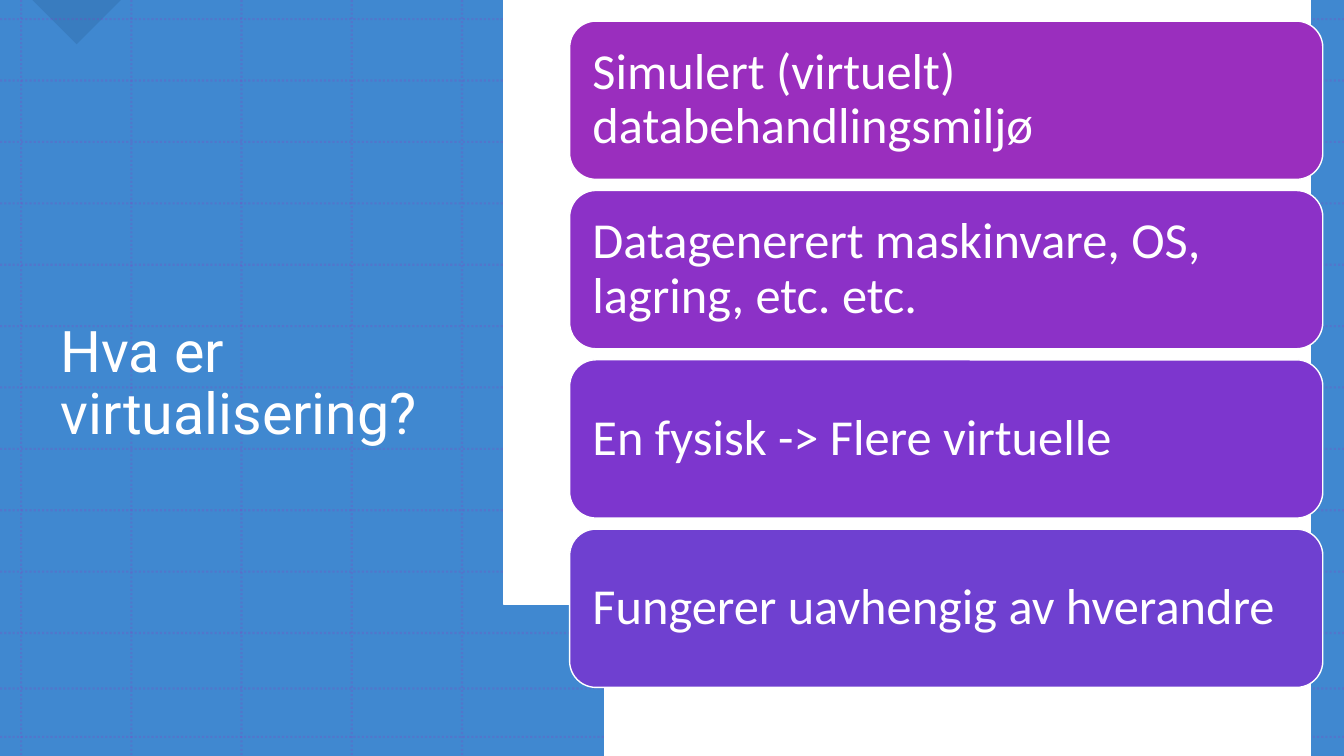
from lxml import etree
from pptx import Presentation
from pptx import util as u
from pptx.dml.color import RGBColor
from pptx.enum import dml, shapes, text
from pptx.oxml.ns import qn

BLUE = RGBColor(0x40, 0x88, 0xD0)
NAVY = RGBColor(0x1B, 0x44, 0x6D)
PURPLE = RGBColor(0x9A, 0x2E, 0xBE)
WHITE = RGBColor(0xFF, 0xFF, 0xFF)

CARDS = [
    ("Simulert (virtuelt) databehandlingsmiljø", PURPLE),
    ("Datagenerert maskinvare, OS, lagring, etc. etc.", RGBColor(0x8C, 0x31, 0xC7)),
    ("En fysisk -> Flere virtuelle", RGBColor(0x7D, 0x36, 0xCE)),
    ("Fungerer uavhengig av hverandre", RGBColor(0x6F, 0x40, 0xD0)),
]


def write(frame, wording, size, font, inset):
    frame.word_wrap = True
    frame.auto_size = text.MSO_AUTO_SIZE.NONE
    frame.vertical_anchor = text.MSO_ANCHOR.MIDDLE
    frame.margin_left = frame.margin_right = u.Inches(inset)
    frame.margin_top = frame.margin_bottom = u.Inches(inset)
    paragraph = frame.paragraphs[0]
    paragraph.text = wording
    paragraph.alignment = text.PP_ALIGN.LEFT
    paragraph.line_spacing = 0.9
    paragraph.font.size = u.Pt(size)
    paragraph.font.name = font
    paragraph.font.color.rgb = WHITE


def set_opacity(drawn, percent):
    for colour in drawn._element.spPr.iter(qn("a:srgbClr")):
        etree.SubElement(colour, qn("a:alpha"), val=str(percent * 1000))


deck = Presentation()
deck.slide_width, deck.slide_height = u.Inches(13.33), u.Inches(7.5)
width, height = deck.slide_width, deck.slide_height
slide = deck.slides.add_slide(deck.slide_layouts[5])
parts = slide.shapes

# Blue ground with a corner notch
ground = parts.add_shape(shapes.MSO_SHAPE.RECTANGLE, 0, 0, width, height)
ground.shadow.inherit = False
ground.fill.solid()
ground.fill.fore_color.rgb = BLUE
ground.line.fill.background()

notch = parts.add_shape(shapes.MSO_SHAPE.RIGHT_TRIANGLE, u.Inches(0.45), u.Inches(-0.31),
                        u.Inches(0.62), u.Inches(0.62))
notch.rotation = 315
notch.shadow.inherit = False
notch.fill.solid()
notch.fill.fore_color.rgb = NAVY
notch.line.fill.background()
set_opacity(notch, 17)

# Dotted grid
columns = [u.Inches(0.21 + 1.093 * i) for i in range(5)]
rows = [u.Inches(0.19 + 0.609 * i) for i in range(11)] + [u.Inches(6.83), u.Inches(7.31)]
grid = [(x, 0, x, height) for x in columns] + [(0, y, width, y) for y in rows]
for ends in grid:
    rule = parts.add_connector(shapes.MSO_CONNECTOR.STRAIGHT, *ends)
    rule.line.color.rgb = PURPLE
    rule.line.width = u.Pt(1.5)
    rule.line.dash_style = dml.MSO_LINE.ROUND_DOT
    set_opacity(rule, 20)
    etree.SubElement(rule._element.spPr, qn("a:effectLst"))

# Title, brought in front of the ground
title = parts.title
title.left, title.top = u.Inches(0.5), u.Inches(0.79)
title.width, title.height = u.Inches(4.08), u.Inches(6.05)
write(title.text_frame, "Hva er virtualisering?", size=41, font="Roboto", inset=0.1)
parts._spTree.append(title._element)

# White panel whose left edge is a Bezier wave
WAVE = [(5.54, 7.5), (5.54, 3.76), (4.37, 3.74), (5.04, 0)]
STEPS = 60
edge = []
for step in range(STEPS + 1):
    t = step / STEPS
    weights = [(1 - t) ** 3, 3 * t * (1 - t) ** 2, 3 * t ** 2 * (1 - t), t ** 3]
    edge.append(tuple(sum(w * point[axis] for w, point in zip(weights, WAVE))
                      for axis in (0, 1)))
outline = parts.build_freeform(13.33, 0, scale=u.Inches(1))
outline.add_line_segments([(13.33, 7.5)] + edge, close=True)
panel = outline.convert_to_shape()
panel.shadow.inherit = False
panel.fill.solid()
panel.fill.fore_color.rgb = WHITE
panel.line.color.rgb = WHITE
panel.line.width = u.Pt(1)

# Cards
for index, (wording, colour) in enumerate(CARDS):
    card = parts.add_shape(shapes.MSO_SHAPE.ROUNDED_RECTANGLE, u.Inches(5.65),
                           u.Inches(0.21 + 1.68 * index), u.Inches(7.47), u.Inches(1.57))
    card.shadow.inherit = False
    card.fill.solid()
    card.fill.fore_color.rgb = colour
    card.line.color.rgb = WHITE
    card.line.width = u.Pt(1)
    write(card.text_frame, wording, size=36, font="Calibri", inset=0.15)

deck.save("out.pptx")
